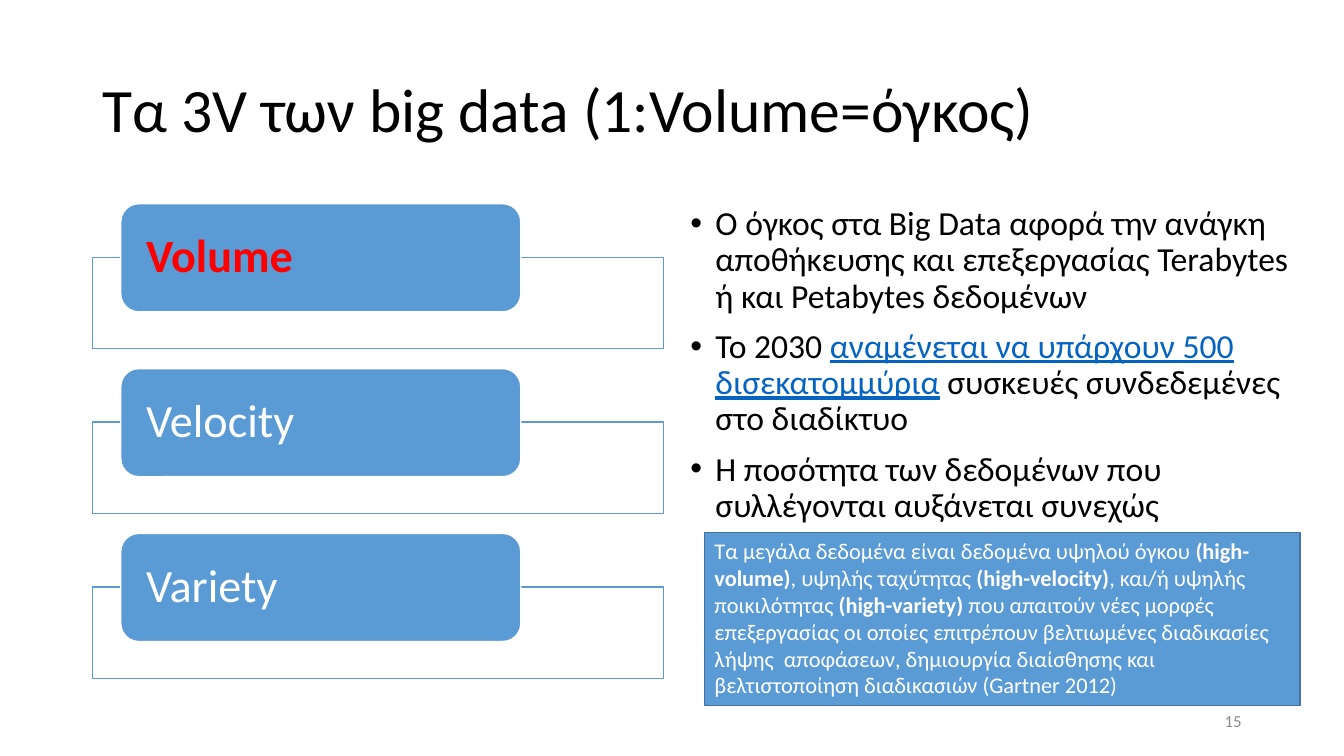
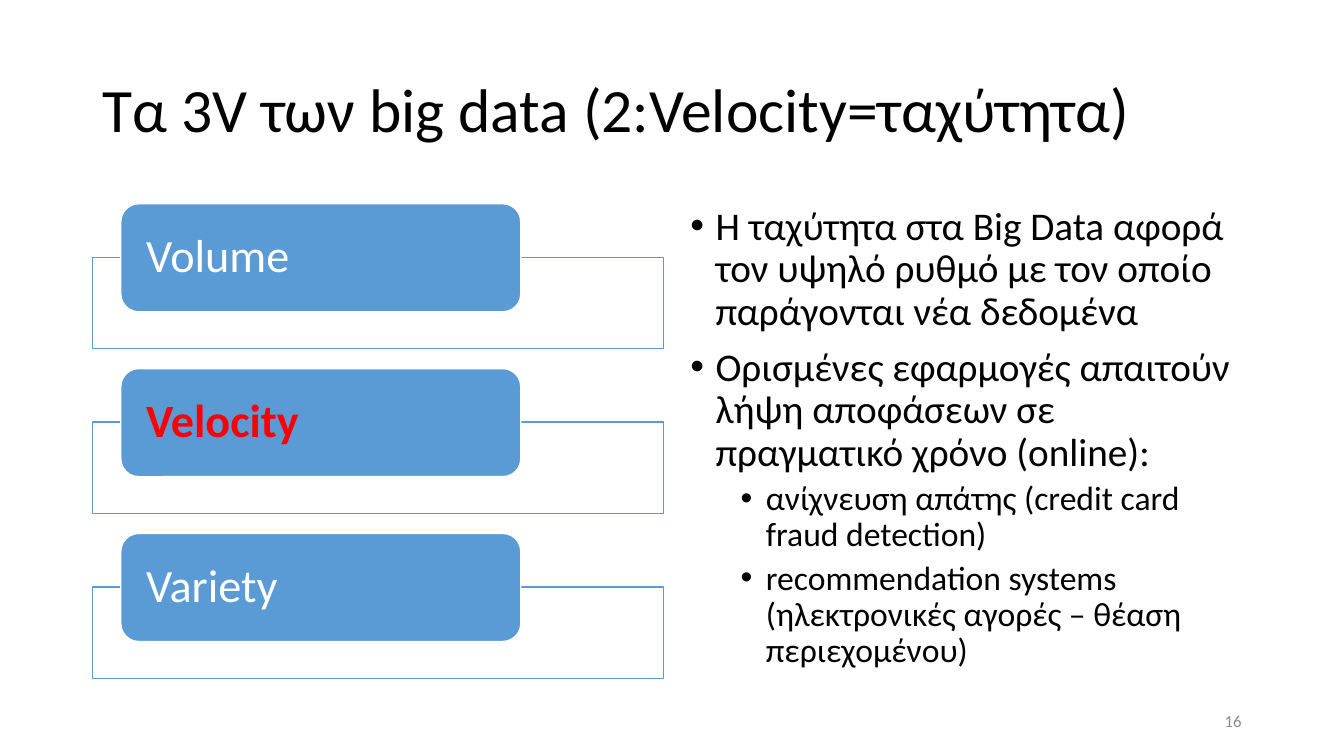
from lxml import etree
from pptx import Presentation
from pptx.dml.color import RGBColor
from pptx.enum.shapes import MSO_SHAPE
from pptx.enum.text import MSO_ANCHOR, MSO_AUTO_SIZE, PP_ALIGN
from pptx.oxml.ns import qn
from pptx.util import Pt

RECTANGLE = MSO_SHAPE.RECTANGLE
ROUNDED = MSO_SHAPE.ROUNDED_RECTANGLE
TOP, MIDDLE = MSO_ANCHOR.TOP, MSO_ANCHOR.MIDDLE
LEFT, RIGHT = PP_ALIGN.LEFT, PP_ALIGN.RIGHT
NO_FIT = MSO_AUTO_SIZE.NONE

# Shared look
PX = 9525
FONT = "Calibri"
BLACK, WHITE, RED, GRAY = "000000", "FFFFFF", "FF0000", "8C8C8C"
BLUE, DARK_BLUE, LINK_BLUE = "5B9BD5", "43739E", "0563C1"
TOPICS = ["Volume", "Velocity", "Variety"]
TOPIC_STEP = 157
BULLET_STEP = 24

# Content: a bullet is (level, size, runs); a run is (text, style)
PLAIN, BOLD, LINK = "plain", "bold", "link"
SLIDES = [
    {
        "title": "Τα 3V των big data (1:Volume=όγκος)",
        "active": "Volume",
        "number": "15",
        "body_width": 606,
        "bullets": [
            (0, 24, [("Ο όγκος στα Big Data αφορά την ανάγκη αποθήκευσης και "
                      "επεξεργασίας Terabytes ή και Petabytes δεδομένων", PLAIN)]),
            (0, 24, [("To 2030 ", PLAIN),
                     ("αναμένεται να υπάρχουν 500 δισεκατομμύρια", LINK),
                     (" συσκευές συνδεδεμένες στο διαδίκτυο", PLAIN)]),
            (0, 24, [("Η ποσότητα των δεδομένων που συλλέγονται αυξάνεται "
                      "συνεχώς", PLAIN)]),
        ],
        "definition": [
            ("Τα μεγάλα δεδομένα είναι δεδομένα υψηλού όγκου ", PLAIN),
            ("(high-volume)", BOLD),
            (", υψηλής ταχύτητας ", PLAIN),
            ("(high-velocity)", BOLD),
            (", και/ή υψηλής ποικιλότητας ", PLAIN),
            ("(high-variety) ", BOLD),
            ("που απαιτούν νέες μορφές επεξεργασίας οι οποίες επιτρέπουν "
             "βελτιωμένες διαδικασίες λήψης  αποφάσεων, δημιουργία διαίσθησης "
             "και βελτιστοποίηση διαδικασιών (Gartner 2012)", PLAIN),
        ],
    },
    {
        "title": "Τα 3V των big data (2:Velocity=ταχύτητα)",
        "active": "Velocity",
        "number": "16",
        "body_width": 544,
        "bullets": [
            (0, 28, [("Η ταχύτητα στα Big Data αφορά τον υψηλό ρυθμό με τον "
                      "οποίο παράγονται νέα δεδομένα", PLAIN)]),
            (0, 28, [("Ορισμένες εφαρμογές απαιτούν λήψη αποφάσεων σε "
                      "πραγματικό χρόνο (online):", PLAIN)]),
            (1, 24, [("ανίχνευση απάτης (credit card fraud detection)", PLAIN)]),
            (1, 24, [("recommendation systems (ηλεκτρονικές αγορές – θέαση "
                      "περιεχομένου)", PLAIN)]),
        ],
        "definition": [],
    },
]


def color(value):
    return RGBColor.from_string(value)


def add_runs(paragraph, runs, size, text_color):
    for text, style in runs:
        run = paragraph.add_run()
        run.text = text
        run.font.name = FONT
        run.font.size = Pt(size)
        run.font.bold = style == BOLD
        run.font.underline = style == LINK
        run.font.color.rgb = color(LINK_BLUE if style == LINK else text_color)


presentation = Presentation()
presentation.slide_width = 1280 * PX
presentation.slide_height = 720 * PX
title_only = presentation.slide_layouts[5]

for content in SLIDES:
    slide = presentation.slides.add_slide(title_only)
    shapes = slide.shapes

    # Title
    title = shapes.title
    title.left, title.top = 88 * PX, 38 * PX
    title.width, title.height = 1104 * PX, 139 * PX
    frame = title.text_frame
    frame.auto_size = NO_FIT
    frame.word_wrap = True
    frame.vertical_anchor = MIDDLE
    paragraph = frame.paragraphs[0]
    paragraph.alignment = LEFT
    paragraph.line_spacing = 0.9
    add_runs(paragraph, [(content["title"], PLAIN)], 44, BLACK)

    # Topic list: an outlined panel behind each rounded label
    for index, topic in enumerate(TOPICS):
        offset = index * TOPIC_STEP
        panel = shapes.add_shape(RECTANGLE, 88 * PX, (245 + offset) * PX,
                                 544 * PX, 87 * PX)
        label = shapes.add_shape(ROUNDED, 115 * PX, (194 + offset) * PX,
                                 381 * PX, 103 * PX)
        for shape, fill, line in ((panel, WHITE, BLUE), (label, BLUE, WHITE)):
            shape.shadow.inherit = False
            shape.fill.solid()
            shape.fill.fore_color.rgb = color(fill)
            shape.line.color.rgb = color(line)
            shape.line.width = Pt(1)
        frame = label.text_frame
        frame.vertical_anchor = MIDDLE
        frame.margin_left = frame.margin_right = 19 * PX
        frame.margin_top = frame.margin_bottom = 0
        paragraph = frame.paragraphs[0]
        paragraph.alignment = LEFT
        paragraph.line_spacing = 0.9
        active = topic == content["active"]
        add_runs(paragraph, [(topic, BOLD if active else PLAIN)], 33,
                 RED if active else WHITE)

    # Bulleted body
    body = shapes.add_textbox(648 * PX, 192 * PX,
                              content["body_width"] * PX, 457 * PX)
    frame = body.text_frame
    frame.word_wrap = True
    for index, (level, size, runs) in enumerate(content["bullets"]):
        paragraph = frame.add_paragraph() if index else frame.paragraphs[0]
        paragraph.level = level
        properties = paragraph._p.get_or_add_pPr()
        properties.set("marL", str((1 + 2 * level) * BULLET_STEP * PX))
        properties.set("indent", str(-BULLET_STEP * PX))
        etree.SubElement(properties, qn("a:buFont"), typeface="Arial")
        etree.SubElement(properties, qn("a:buChar"), char="•")
        paragraph.line_spacing = 0.9
        if index:
            paragraph.space_before = Pt(5 if level else 10)
        add_runs(paragraph, runs, size, BLACK)

    # Slide number
    number = shapes.add_textbox(904 * PX, 667 * PX, 288 * PX, 38 * PX)
    frame = number.text_frame
    frame.word_wrap = True
    frame.vertical_anchor = MIDDLE
    paragraph = frame.paragraphs[0]
    paragraph.alignment = RIGHT
    add_runs(paragraph, [(content["number"], PLAIN)], 12, GRAY)

    # Definition box
    if content["definition"]:
        definition = shapes.add_shape(RECTANGLE, 671 * PX, 507 * PX,
                                      567 * PX, 165 * PX)
        definition.shadow.inherit = False
        definition.fill.solid()
        definition.fill.fore_color.rgb = color(BLUE)
        definition.line.color.rgb = color(DARK_BLUE)
        definition.line.width = Pt(1)
        frame = definition.text_frame
        frame.word_wrap = True
        frame.vertical_anchor = TOP
        paragraph = frame.paragraphs[0]
        paragraph.alignment = LEFT
        add_runs(paragraph, content["definition"], 16, WHITE)

presentation.save("out.pptx")
